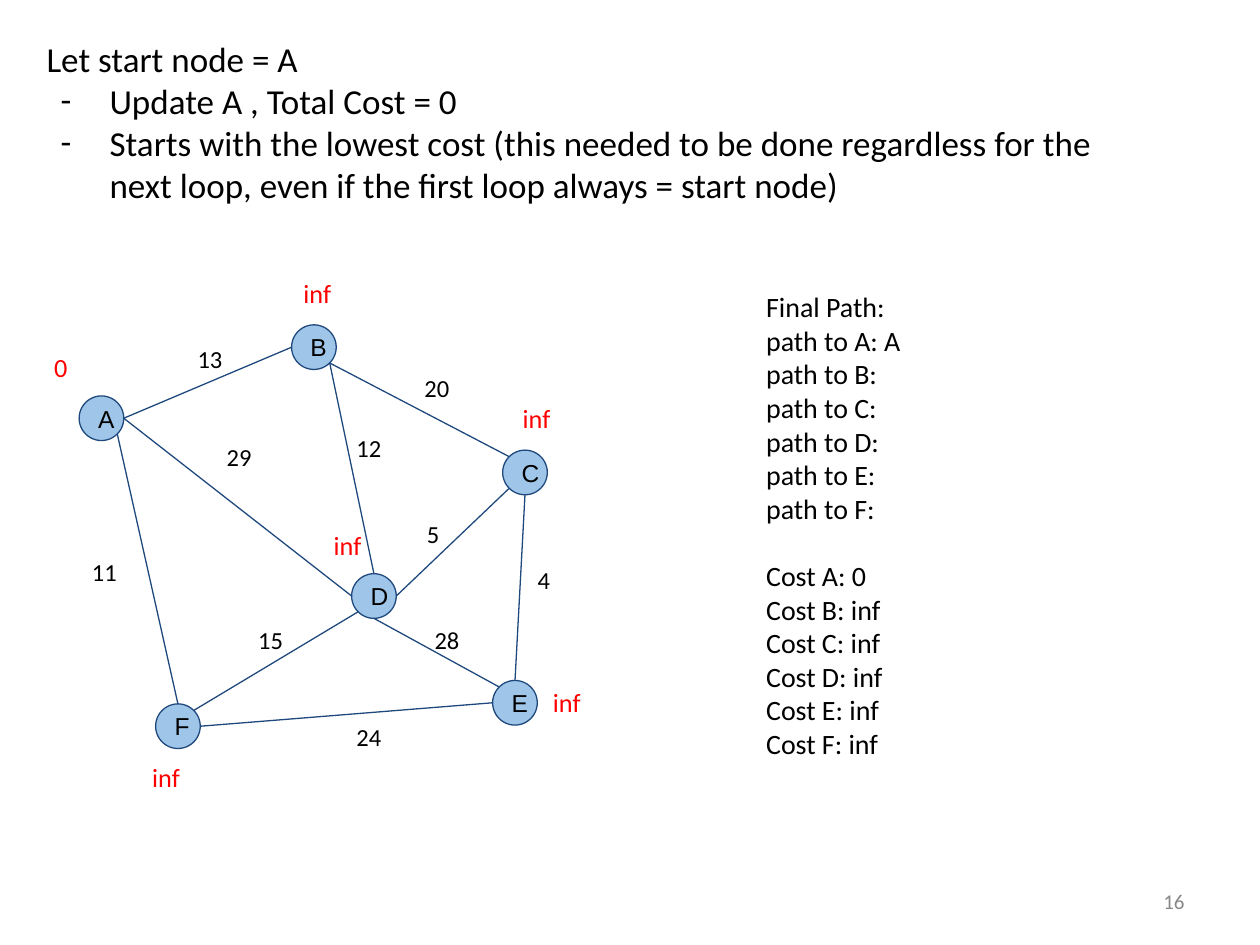
from math import cos, radians, sin

from lxml import etree
from pptx import Presentation
from pptx.dml.color import RGBColor
from pptx.enum.shapes import MSO_CONNECTOR, MSO_SHAPE
from pptx.enum.text import MSO_ANCHOR, MSO_AUTO_SIZE, PP_ALIGN
from pptx.oxml.ns import qn
from pptx.util import Pt

OVAL = MSO_SHAPE.OVAL
LINE = MSO_CONNECTOR.STRAIGHT
TOP, MIDDLE = MSO_ANCHOR.TOP, MSO_ANCHOR.MIDDLE
LEFT, RIGHT = PP_ALIGN.LEFT, PP_ALIGN.RIGHT
FIXED = MSO_AUTO_SIZE.NONE

COLORS = {"text": "000000", "node": "9FC5E8", "edge": "1F497D",
          "cost": "FF0000", "number": "888888"}
ANGLES = {"e": 0, "se": 45, "s": 90, "sw": 135,
          "w": 180, "nw": 225, "n": 270, "ne": 315}
RADIUS = 12.75

NODES = {"A": (58, 239), "B": (179.4, 198.4), "C": (300, 270),
         "F": (101.7, 415), "D": (213.7, 340.6), "E": (294.3, 401.6)}
EDGES = [
    ("A", "e", "B", "w", "13", 105.8, 189.4),
    ("A", "e", "D", "w", "29", 122.4, 245.5),
    ("A", "se", "F", "n", "11", 45.4, 311),
    ("B", "se", "C", "nw", "20", 235.4, 205.9),
    ("B", "se", "D", "n", "12", 196.6, 240.5),
    ("C", "sw", "D", "e", "5", 236.9, 289.4),
    ("C", "s", "E", "n", "4", 300.2, 315.4),
    ("D", "s", "E", "nw", "28", 241.2, 349.9),
    ("E", "w", "F", "e", "24", 196.6, 405.4),
    ("D", "sw", "F", "ne", "15", 140.4, 349.9),
]
COSTS = {"A": ("0", 23.8, 193.7), "B": ("inf", 166.3, 151.2),
         "C": ("inf", 291.6, 222.5), "D": ("inf", 183.6, 295.2),
         "E": ("inf", 308.9, 385.2), "F": ("inf", 79.9, 427.7)}
STEPS = [
    "Let start node = A",
    "Update A , Total Cost = 0",
    "Starts with the lowest cost (this needed to be done regardless for the "
    "next loop, even if the first loop always = start node)",
]


class Deck:
    font = "Calibri"
    inset = 7.2

    def __init__(self, slide):
        self.slide = slide

    def color(self, name):
        return RGBColor.from_string(COLORS[name])

    def style(self, frame, size, color="text", font=None, align=LEFT,
              anchor=TOP, pad=inset):
        frame.word_wrap = True
        frame.auto_size = FIXED
        frame.vertical_anchor = anchor
        frame.margin_left = frame.margin_right = Pt(self.inset)
        frame.margin_top = frame.margin_bottom = Pt(pad)
        for para in frame.paragraphs:
            para.alignment = align
            for run in para.runs:
                run.font.size = Pt(size)
                run.font.name = font or self.font
                run.font.color.rgb = self.color(color)

    def label(self, text, x, y, w, h, size, **look):
        box = self.slide.shapes.add_textbox(Pt(x), Pt(y), Pt(w), Pt(h))
        box.text_frame.text = text
        self.style(box.text_frame, size, **look)

    def body(self, index, lines, x, y, w, h, size):
        box = self.slide.placeholders[index]
        box.left, box.top, box.width, box.height = Pt(x), Pt(y), Pt(w), Pt(h)
        frame = box.text_frame
        frame.text = "\n".join(lines)
        self.style(frame, size)
        for para in frame.paragraphs:
            para.space_before = Pt(0)
            self.bullet(para)
        return frame.paragraphs

    def bullet(self, para, mark=None, margin=0, indent=0):
        props = para._p.get_or_add_pPr()
        for tag in ("a:buNone", "a:buFont", "a:buChar"):
            for old in props.findall(qn(tag)):
                props.remove(old)
        props.set("marL", str(Pt(margin)))
        props.set("indent", str(Pt(indent)))
        if mark:
            etree.SubElement(props, qn("a:buFont")).set("typeface", self.font)
            etree.SubElement(props, qn("a:buChar")).set("char", mark)
        else:
            etree.SubElement(props, qn("a:buNone"))

    def node(self, name, x, y):
        dot = self.slide.shapes.add_shape(
            OVAL, Pt(x - RADIUS), Pt(y - RADIUS), Pt(2 * RADIUS), Pt(2 * RADIUS))
        dot.shadow.inherit = False
        dot.fill.solid()
        dot.fill.fore_color.rgb = self.color("node")
        dot.line.color.rgb = self.color("edge")
        dot.line.width = Pt(0.75)
        dot.text_frame.text = name
        self.style(dot.text_frame, 14, font="Arial", anchor=MIDDLE)

    def edge(self, start, end):
        line = self.slide.shapes.add_connector(
            LINE, *[Pt(value) for value in start + end])
        line.line.color.rgb = self.color("edge")
        line.line.width = Pt(0.75)
        etree.SubElement(line._element.spPr, qn("a:effectLst"))


def site(name, side):
    x, y = NODES[name]
    angle = radians(ANGLES[side])
    return x + RADIUS * cos(angle), y + RADIUS * sin(angle)


show = Presentation()
show.slide_width, show.slide_height = Pt(720), Pt(540)
slide = show.slides.add_slide(show.slide_layouts[3])
title = slide.shapes.title._element
title.getparent().remove(title)
deck = Deck(slide)

deck.label("16", 516.2, 500.4, 167.8, 28.8, 12, color="number",
           align=RIGHT, anchor=MIDDLE, pad=3.6)

steps = deck.body(1, STEPS, 19.4, 14.4, 631.4, 113.8, 20)
for step in steps[1:]:
    deck.bullet(step, "-", 36, -28)

names = sorted(NODES)
paths = [f"path to {name}:" + (" A" if name == "A" else "") for name in names]
costs = [f"Cost {name}: {COSTS[name][0]}" for name in names]
lines = deck.body(2, ["Final Path:"] + paths + costs,
                  430.6, 158.4, 185.8, 311.8, 16)
lines[1 + len(paths)].space_before = Pt(19.2)

for name, (x, y) in NODES.items():
    deck.node(name, x, y)
for start, out, end, into, *_ in EDGES:
    deck.edge(site(start, out), site(end, into))
for *_, weight, x, y in EDGES:
    deck.label(weight, x, y, 34.6, 25.2, 14)
for cost, x, y in COSTS.values():
    deck.label(cost, x, y, 47.5, 33.1, 15, color="cost")

show.save("out.pptx")
